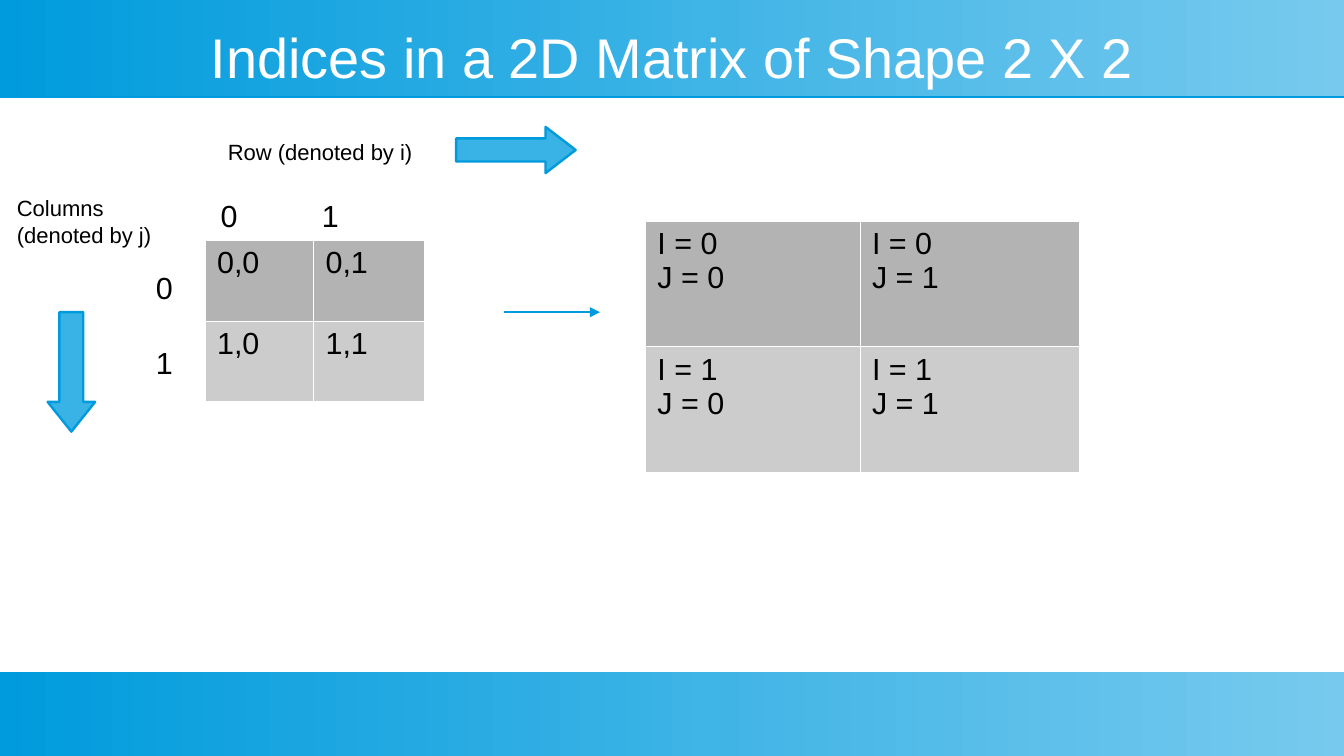
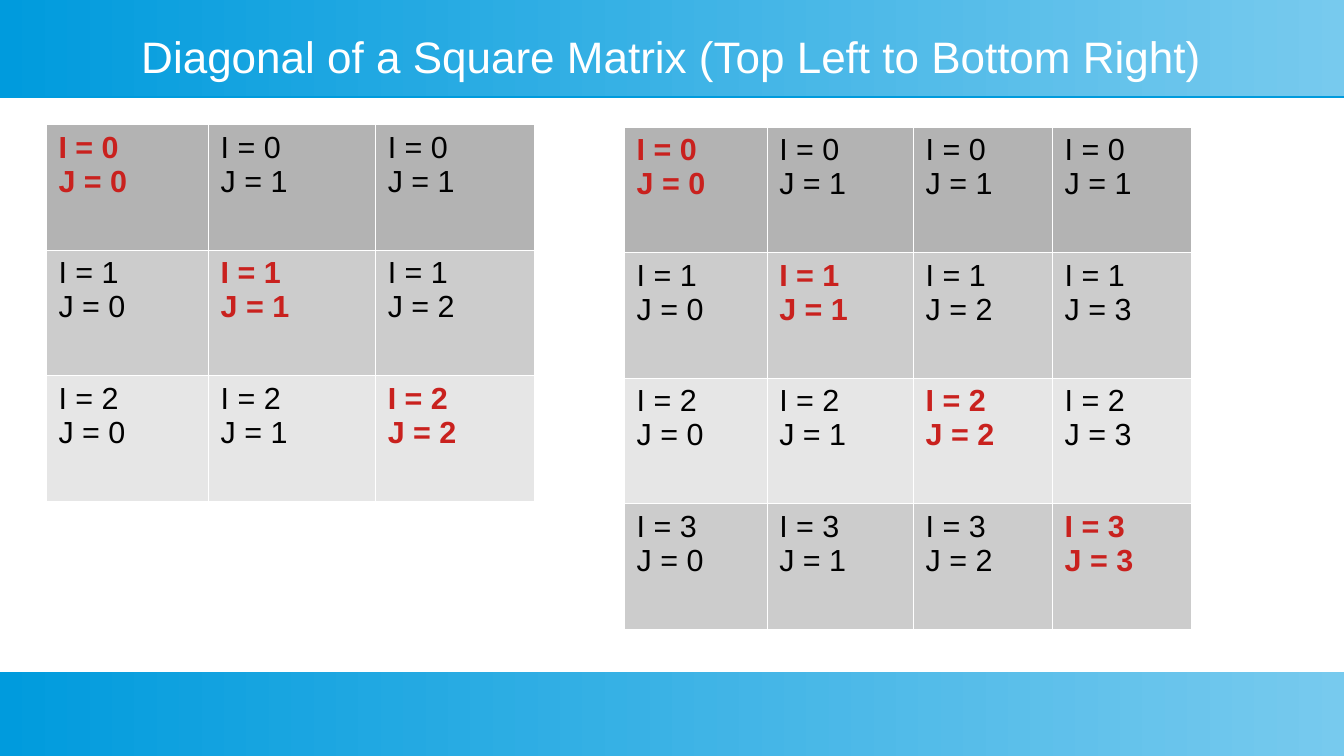
from lxml.etree import SubElement
from pptx import Presentation
from pptx.dml.color import RGBColor
from pptx.enum.shapes import MSO_CONNECTOR as CONNECTOR, MSO_SHAPE as SHAPE
from pptx.enum.text import MSO_ANCHOR as ANCHOR, PP_ALIGN as ALIGN
from pptx.oxml.ns import qn
from pptx.util import Inches, Pt

WIDTH, HEIGHT = 11.02, 6.2
FONT = "Arial"
BLACK = RGBColor(0x00, 0x00, 0x00)
WHITE = RGBColor(0xFF, 0xFF, 0xFF)
BLUE = RGBColor(0x00, 0x9B, 0xDD)
MID_BLUE = RGBColor(0x39, 0xB2, 0xE5)
PALE_BLUE = RGBColor(0x77, 0xCA, 0xEE)
RED = RGBColor(0xC9, 0x21, 0x1E)
DARK_GREY = RGBColor(0xB3, 0xB3, 0xB3)
GREY = RGBColor(0xCC, 0xCC, 0xCC)
PALE_GREY = RGBColor(0xE6, 0xE6, 0xE6)
ROW_FILLS = (DARK_GREY, GREY, PALE_GREY, GREY)

BANDS = ((0, 0.79), (5.51, 0.69))  # top, height
TITLE_BOX = (0.39, 0.2, 10.24, 0.52)
CELL_INSETS = (0.1, 0.05, 0.1, 0.05)
LINE_WIDTH = 1.42
INDEX_ROW_HEIGHT = 1.03

INDICES_TITLE = "Indices in a 2D Matrix of Shape 2 X 2"
DIAGONAL_TITLE = "Diagonal of a Square Matrix (Top Left to Bottom Right)"

POSITIONS = [["0,0", "0,1"], ["1,0", "1,1"]]
# The J value of every cell, row by row; I is the row number.
TWO_BY_TWO = [[0, 1], [0, 1]]
THREE_BY_THREE = [[0, 1, 1], [0, 1, 2], [0, 1, 2]]
FOUR_BY_FOUR = [[0, 1, 1, 1], [0, 1, 2, 3], [0, 1, 2, 3], [0, 1, 2, 3]]

AXIS_LABELS = (
    ("Row (denoted by i)", (1.77, 1.09, 2.32, 0.33)),
    ("Columns\n(denoted by j)", (0.04, 1.55, 1.33, 0.94)),
)
COLUMN_NUMBERS = {"left": 1.71, "top": 1.57, "step": 0.83}
ROW_NUMBERS = {"left": 1.18, "top": 2.16, "step": 0.61}
BLOCK_ARROWS = (
    (SHAPE.DOWN_ARROW, (0.39, 2.56, 0.39, 0.98), 0.625),
    (SHAPE.RIGHT_ARROW, (3.74, 1.04, 0.98, 0.38), 0.65),
)
LINK_ARROW = (4.13, 2.56, 4.92, 2.56)


def inches(values):
    return [Inches(value) for value in values]


def write(frame, text, size=18, color=BLACK, bold=False, align=ALIGN.LEFT,
          anchor=ANCHOR.TOP):
    """Fill a text frame, one paragraph for each line of text."""
    frame.word_wrap = True
    frame.vertical_anchor = anchor
    for number, line in enumerate(text.split("\n")):
        paragraph = frame.add_paragraph() if number else frame.paragraphs[0]
        paragraph.alignment = align
        run = paragraph.add_run()
        run.text = line
        font = run.font
        font.name, font.size, font.bold = FONT, Pt(size), bold
        font.color.rgb = color


def add_text(slide, text, box, insets=CELL_INSETS, **text_format):
    frame = slide.shapes.add_textbox(*inches(box)).text_frame
    (frame.margin_left, frame.margin_top,
     frame.margin_right, frame.margin_bottom) = inches(insets)
    write(frame, text, **text_format)


def add_band(slide, top, height):
    """Draw a full-width gradient band with a thin blue edge below it."""
    band = slide.shapes.add_shape(
        SHAPE.RECTANGLE, *inches((0, top, WIDTH, height)))
    band.line.fill.background()
    band.fill.gradient()
    band.fill.gradient_angle = 0
    for stop, color in zip(band.fill.gradient_stops, (BLUE, PALE_BLUE)):
        stop.color.rgb = color
    band.shadow.inherit = False
    effects = band._element.spPr.find(qn("a:effectLst"))
    edge = SubElement(effects, qn("a:outerShdw"), dist=str(Pt(0.9)),
                      dir="5400000", rotWithShape="0")
    SubElement(edge, qn("a:srgbClr"), val=str(BLUE))


def add_titled_slide(presentation, title, size):
    slide = presentation.slides.add_slide(presentation.slide_layouts[6])
    slide.background.fill.solid()
    slide.background.fill.fore_color.rgb = WHITE
    for top, height in BANDS:
        add_band(slide, top, height)
    add_text(slide, title, TITLE_BOX, insets=(0, 0, 0, 0), size=size,
             color=WHITE, align=ALIGN.CENTER, anchor=ANCHOR.MIDDLE)
    return slide


def set_borders(cell):
    properties = cell._tc.get_or_add_tcPr()
    for side in "LRTB":
        border = SubElement(properties, qn(f"a:ln{side}"), w=str(Pt(0.06)))
        fill = SubElement(border, qn("a:solidFill"))
        SubElement(fill, qn("a:srgbClr"), val=str(WHITE))


def add_matrix(slide, rows, left, top, column_widths, row_height,
               mark_diagonal=False):
    box = (left, top, sum(column_widths), row_height * len(rows))
    table = slide.shapes.add_table(
        len(rows), len(column_widths), *inches(box)).table
    table.first_row = table.horz_banding = False
    for column, width in zip(table.columns, column_widths):
        column.width = Inches(width)
    for i, texts in enumerate(rows):
        table.rows[i].height = Inches(row_height)
        for j, text in enumerate(texts):
            cell = table.cell(i, j)
            set_borders(cell)
            cell.fill.solid()
            cell.fill.fore_color.rgb = ROW_FILLS[i]
            marked = mark_diagonal and i == j
            write(cell.text_frame, text, bold=marked,
                  color=RED if marked else BLACK)


def index_texts(matrix):
    return [[f"I = {i}\nJ = {j}" for j in row] for i, row in enumerate(matrix)]


def add_block_arrow(slide, kind, box, head_length):
    arrow = slide.shapes.add_shape(kind, *inches(box))
    arrow.shadow.inherit = False
    arrow.adjustments[0] = 0.5
    arrow.adjustments[1] = head_length
    arrow.fill.solid()
    arrow.fill.fore_color.rgb = MID_BLUE
    arrow.line.color.rgb = BLUE
    arrow.line.width = Pt(LINE_WIDTH)


def add_link_arrow(slide, ends):
    link = slide.shapes.add_connector(CONNECTOR.STRAIGHT, *inches(ends))
    link.line.color.rgb = BLUE
    link.line.width = Pt(LINE_WIDTH)
    SubElement(link.line._get_or_add_ln(), qn("a:tailEnd"), type="triangle")
    SubElement(link._element.spPr, qn("a:effectLst"))


def build_indices_slide(presentation):
    slide = add_titled_slide(presentation, INDICES_TITLE, size=33)
    add_matrix(slide, POSITIONS, 1.68, 1.97, (0.89, 0.91), 0.66)
    for text, box in AXIS_LABELS:
        add_text(slide, text, box, size=13)
    for kind, box, head_length in BLOCK_ARROWS:
        add_block_arrow(slide, kind, box, head_length)
    for number in range(2):
        across, down = COLUMN_NUMBERS, ROW_NUMBERS
        add_text(slide, str(number), (across["left"] + number * across["step"],
                                      across["top"], 0.39, 0.38))
        add_text(slide, str(number), (down["left"],
                                      down["top"] + number * down["step"],
                                      0.39, 0.38))
    add_matrix(slide, index_texts(TWO_BY_TWO), 5.29, 1.81, (1.76, 1.8),
               INDEX_ROW_HEIGHT)
    add_link_arrow(slide, LINK_ARROW)


def build_diagonal_slide(presentation):
    slide = add_titled_slide(presentation, DIAGONAL_TITLE, size=26)
    for matrix, left, top, widths in (
        (THREE_BY_THREE, 0.38, 1.02, (1.33, 1.37, 1.3)),
        (FOUR_BY_FOUR, 5.12, 1.04, (1.17, 1.2, 1.14, 1.14)),
    ):
        add_matrix(slide, index_texts(matrix), left, top, widths,
                   INDEX_ROW_HEIGHT, mark_diagonal=True)


def main():
    presentation = Presentation()
    presentation.slide_width = Inches(WIDTH)
    presentation.slide_height = Inches(HEIGHT)
    build_indices_slide(presentation)
    build_diagonal_slide(presentation)
    presentation.save("out.pptx")


if __name__ == "__main__":
    main()
